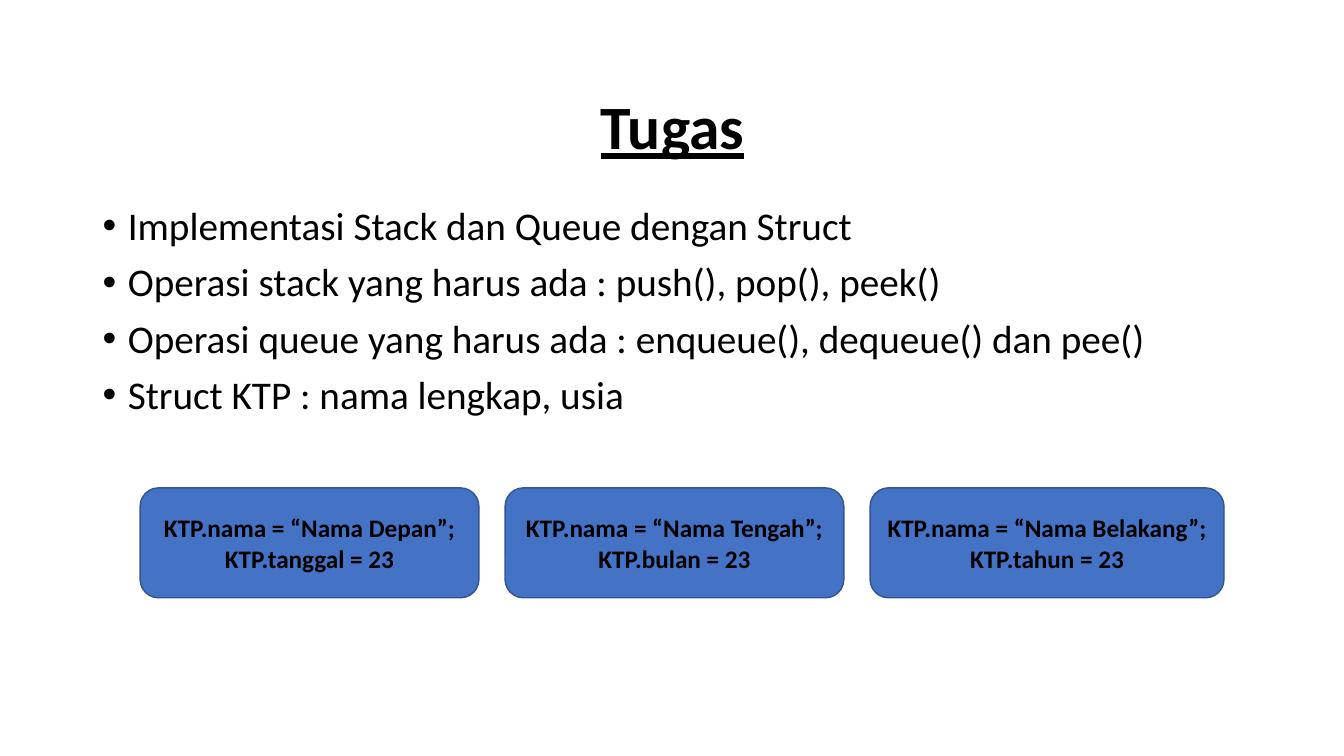
from lxml.etree import SubElement as Sub
from pptx import Presentation
from pptx.dml.color import RGBColor as RGB
from pptx.enum.shapes import MSO_SHAPE as Shape
from pptx.enum.text import MSO_ANCHOR as Anchor, PP_ALIGN as Align
from pptx.oxml.ns import qn
from pptx.util import Pt

PX = 9144  # 100 px to the inch
BLACK = RGB(0x00, 0x00, 0x00)
BLUE = RGB(0x44, 0x72, 0xC4)
NAVY = RGB(0x32, 0x54, 0x91)

TASKS = [
    "Implementasi Stack dan Queue dengan Struct",
    "Operasi stack yang harus ada : push(), pop(), peek()",
    "Operasi queue yang harus ada : enqueue(), dequeue() dan pee()",
    "Struct KTP : nama lengkap, usia",
]
CARDS = [
    ("Depan", "tanggal", 336),
    ("Tengah", "bulan", 336),
    ("Belakang", "tahun", 351),
]


class Deck:
    face = "Calibri"
    ink = BLACK

    def __init__(self, wide, high):
        self.prs = Presentation()
        self.prs.slide_width = wide * PX
        self.prs.slide_height = high * PX
        self.slide = self.prs.slides.add_slide(self.prs.slide_layouts[6])

    def fill(self, frame, lines, anchor, font, para):
        """Fill a text frame, one paragraph per line, and return the paragraphs."""
        frame.word_wrap = True
        frame.vertical_anchor = anchor
        frame.text = "\n".join(lines)
        for par in frame.paragraphs:
            for key, val in para.items():
                setattr(par, key, val)
            run = par.runs[0].font
            run.color.rgb = self.ink
            for key, val in {"name": self.face, **font}.items():
                setattr(run, key, val)
        return frame.paragraphs

    def text(self, box, lines, anchor, font, para):
        frame = self.slide.shapes.add_textbox(*(n * PX for n in box)).text_frame
        return self.fill(frame, lines, anchor, font, para)

    def title(self, box, line):
        self.text(box, [line], Anchor.MIDDLE,
                  {"size": Pt(44), "bold": True, "underline": True},
                  {"alignment": Align.CENTER, "line_spacing": 0.9})

    def bullets(self, box, lines):
        pars = self.text(box, lines, Anchor.TOP, {"size": Pt(28)},
                         {"line_spacing": 0.9, "space_before": Pt(10)})
        for par in pars:
            props = par._p.get_or_add_pPr()
            props.set("marL", str(25 * PX))
            props.set("indent", str(-25 * PX))
            Sub(props, qn("a:buFont")).set("typeface", "Arial")
            Sub(props, qn("a:buChar")).set("char", "•")

    def card(self, box, lines):
        card = self.slide.shapes.add_shape(
            Shape.ROUNDED_RECTANGLE, *(n * PX for n in box))
        card.shadow.inherit = False
        card.fill.solid()
        card.fill.fore_color.rgb = BLUE
        card.line.color.rgb = NAVY
        card.line.width = Pt(1)
        self.fill(card.text_frame, lines, Anchor.MIDDLE,
                  {"size": Pt(18), "bold": True}, {"alignment": Align.CENTER})


def main():
    deck = Deck(1333, 750)
    deck.title((92, 74, 1150, 110), "Tugas")
    deck.bullets((92, 200, 1150, 476), TASKS)
    left, gap = 139, 26
    for name, part, wide in CARDS:
        deck.card((left, 484, wide, 109),
                  [f"KTP.nama = “Nama {name}”;", f"KTP.{part} = 23"])
        left += wide + gap
    deck.prs.save("out.pptx")


if __name__ == "__main__":
    main()
